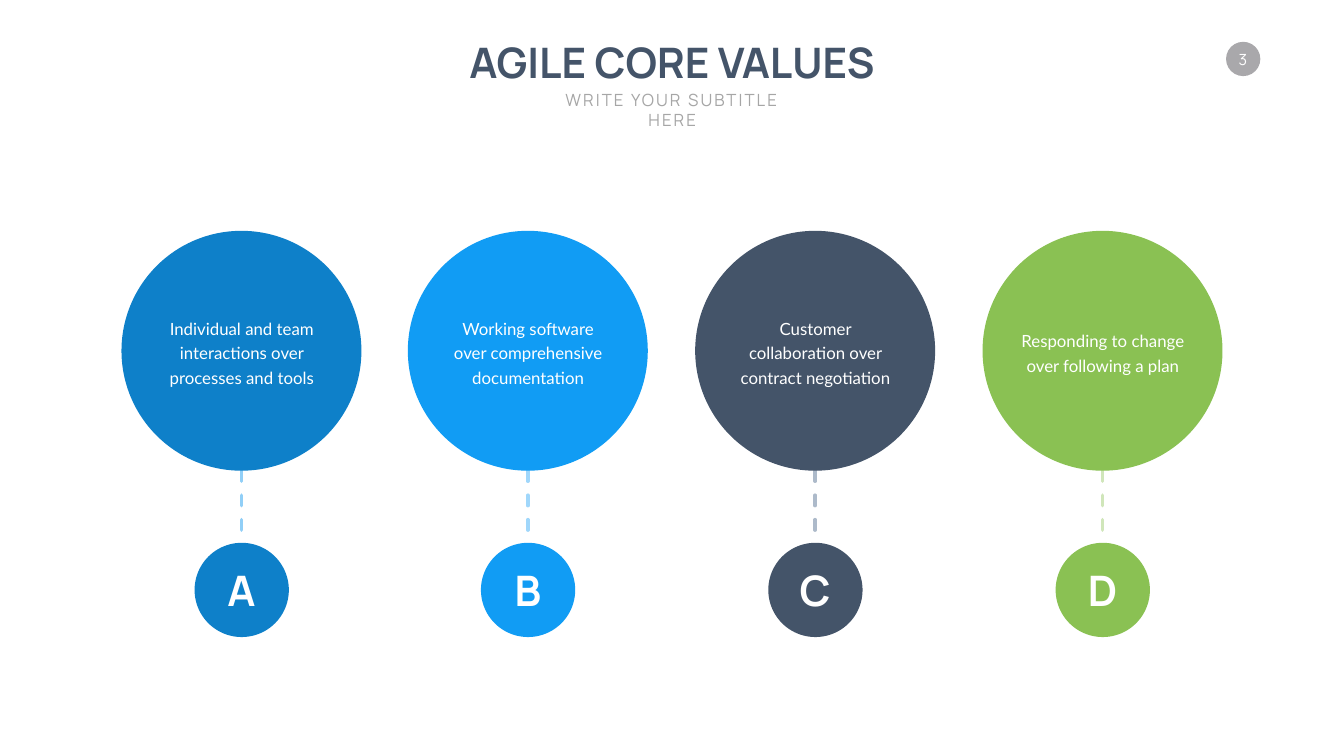
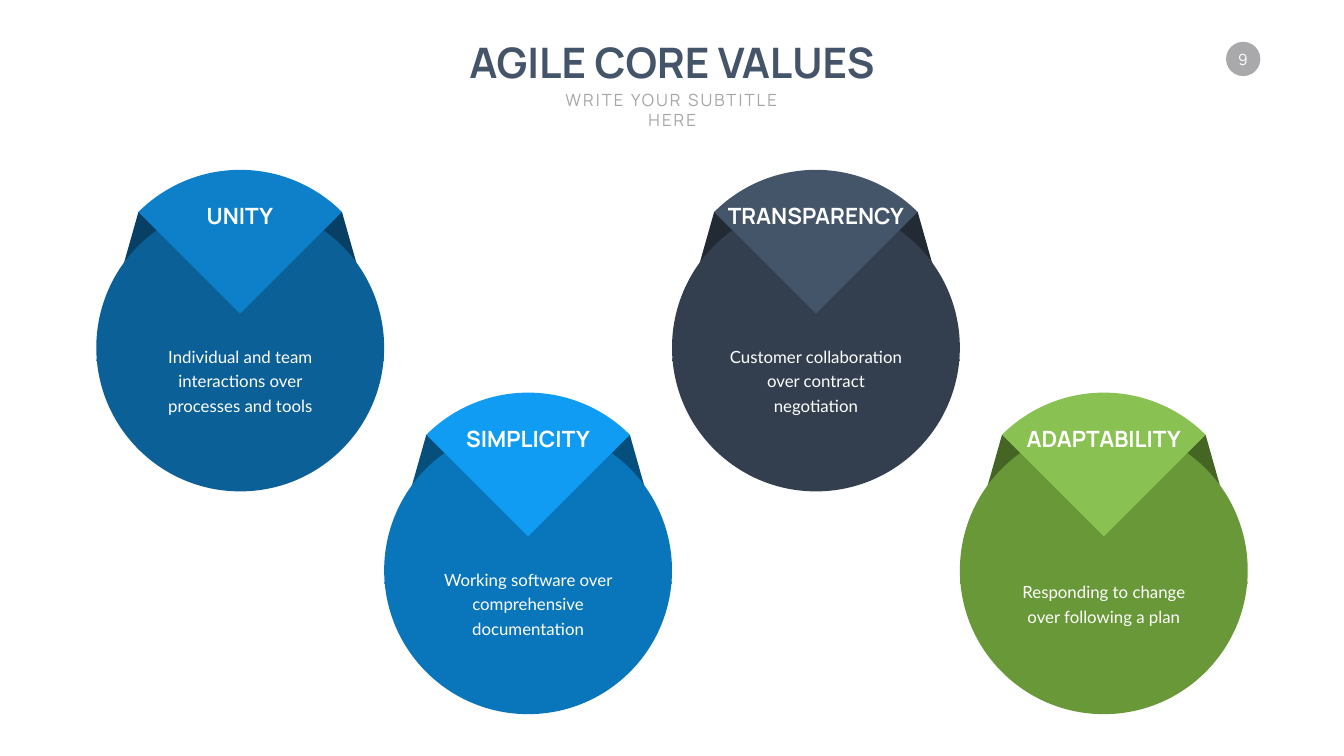
"""Build two slides on the agile core values."""
from math import atan2, cos, degrees, radians, sin, tan

from lxml.etree import SubElement
from pptx import Presentation
from pptx.dml.color import RGBColor
from pptx.enum.dml import MSO_LINE
from pptx.enum.shapes import MSO_CONNECTOR, MSO_SHAPE
from pptx.enum.text import MSO_ANCHOR, MSO_AUTO_SIZE, PP_ALIGN
from pptx.oxml.ns import qn
from pptx.util import Emu, Pt

PX = 9144
WIDE, HIGH = 2666, 1500

HUES = {
    "white": "FFFFFF", "slate": "445469", "grey": "A6A6A6", "badge": "A9A8AB",
    "navy": "0E80C9", "navy line": "91CFF7", "navy dark": "0A6097", "navy fold": "074064",
    "sky": "119CF4", "sky line": "A0D7FB", "sky dark": "0976BB", "sky fold": "064F7D",
    "slate line": "ADBACA", "slate dark": "333F4F", "slate fold": "222A34",
    "green": "8AC153", "green line": "D0E6BA", "green dark": "689837", "green fold": "456525",
}

TITLE = "AGILE CORE VALUES"
SUBTITLE = "WRITE YOUR SUBTITLE HERE"
VALUES = [
    {"hue": "navy", "key": "A", "name": "UNITY", "mid": 479, "span": 156, "tall": 152,
     "text": "Individual and team interactions over processes and tools"},
    {"hue": "sky", "key": "B", "name": "SIMPLICITY", "mid": 1047, "span": 269, "tall": 152,
     "text": "Working software over comprehensive documentation"},
    {"hue": "slate", "key": "C", "name": "TRANSPARENCY", "mid": 1617, "span": 383, "tall": 152,
     "text": "Customer collaboration over contract negotiation"},
    {"hue": "green", "key": "D", "name": "ADAPTABILITY", "mid": 2187, "span": 341, "tall": 103,
     "text": "Responding to change over following a plan"},
]

HEAD = {"name": "Manrope", "size": Pt(60), "bold": True}
SUB = {"name": "Manrope", "size": Pt(24), "bold": False}
PAGE = {"name": "Manrope", "size": Pt(22)}
LABEL = {"name": "Manrope", "size": Pt(32), "bold": True}
BODY = {"name": "Lato", "size": Pt(24)}


def rgb(hue):
    """Return the named colour."""
    return RGBColor.from_string(HUES[hue])


def put(item, values):
    """Set each attribute in values on item."""
    for key, value in values.items():
        setattr(item, key, value)


def place(shape, left, top, width, height):
    """Move and size a shape in px."""
    put(shape, {"left": Emu(left * PX), "top": Emu(top * PX),
                "width": Emu(width * PX), "height": Emu(height * PX)})


def write(shape, text, font, hue="white", wrap=False, anchor=MSO_ANCHOR.MIDDLE, lead=None):
    """Fill a shape with one centred, formatted paragraph."""
    frame = shape.text_frame
    frame.text = text
    put(frame, {"word_wrap": wrap, "vertical_anchor": anchor,
                "auto_size": MSO_AUTO_SIZE.NONE})
    para = frame.paragraphs[0]
    put(para, {"alignment": PP_ALIGN.CENTER, "space_before": Pt(0), "line_spacing": lead})
    run = para.runs[0]
    put(run.font, font)
    run.font.color.rgb = rgb(hue)
    return run


def label(slide, mid, y, width, height, text, font, **more):
    """Add a text box centred on a point."""
    box = slide.shapes.add_textbox(0, 0, 0, 0)
    place(box, mid - width // 2, y - height // 2, width, height)
    write(box, text, font, **more)
    return box


def paint(shape, hue):
    """Give a shape a plain fill."""
    shape.shadow.inherit = False
    shape.fill.solid()
    shape.fill.fore_color.rgb = rgb(hue)
    shape.line.fill.background()


def disc(slide, mid, top, size, hue):
    """Add a filled circle."""
    shape = slide.shapes.add_shape(MSO_SHAPE.OVAL, 0, 0, 0, 0)
    place(shape, mid - size // 2, top, size, size)
    paint(shape, hue)


def dash(slide, x, top, base, hue):
    """Add a dashed upright line with round ends."""
    line = slide.shapes.add_connector(
        MSO_CONNECTOR.STRAIGHT, x * PX, top * PX, x * PX, base * PX)
    put(line.line, {"width": Pt(5), "dash_style": MSO_LINE.DASH})
    line.line.color.rgb = rgb(hue)
    props = line._element.spPr
    props.find(qn("a:ln")).set("cap", "rnd")
    SubElement(props, qn("a:effectLst"))


def arc(x, y, radius, *turns):
    """Return a start point and a curve between each pair of angles."""
    def spot(turn, pull=0):
        c, s = cos(radians(turn)), sin(radians(turn))
        return x + radius * (c - pull * s), y + radius * (s + pull * c)

    steps = [[spot(turns[0])]]
    for a, b in zip(turns, turns[1:]):
        pull = 4 / 3 * tan(radians(b - a) / 4)
        steps.append([spot(a, pull), spot(b, -pull), spot(b)])
    return steps


def outline(slide, left, top, steps, hue):
    """Add a closed outline whose three-point steps are curves."""
    dots = [(round((left + x) * PX), round((top + y) * PX)) for step in steps for x, y in step]
    pen = slide.shapes.build_freeform(*dots[0])
    pen.add_line_segments(dots[1:], close=True)
    shape = pen.convert_to_shape()
    trail = next(shape._element.iter(qn("a:pathLst")))[0]
    parts = iter(list(trail))
    for step in steps:
        first = next(parts)
        if len(step) == 3:
            first.tag = qn("a:cubicBezTo")
            for _ in range(2):
                extra = next(parts)
                first.append(extra[0])
                trail.remove(extra)
    paint(shape, hue)


def start(deck, page):
    """Add a slide with its title, subtitle and page badge."""
    slide = deck.slides.add_slide(deck.slide_layouts[0])
    disc(slide, 2466, 83, 68, "badge")
    box = label(slide, 2465, 117, 45, 37, page, PAGE)
    put(box.text_frame, dict.fromkeys(
        ("margin_left", "margin_right", "margin_top", "margin_bottom"), 0))
    title, sub = slide.placeholders
    place(title, 911, 67, 844, 111)
    write(title, TITLE, HEAD, hue="slate", anchor=MSO_ANCHOR.TOP)
    place(sub, 1062, 172, 543, 50)
    run = write(sub, SUBTITLE, SUB, hue="grey", wrap=True, anchor=MSO_ANCHOR.TOP)
    run.font._element.set("spc", "300")
    return slide


def pins(deck):
    """Draw each value as a circle joined to its letter."""
    slide = start(deck, "3")
    top, big, low, small = 458, 476, 1077, 187
    for value in VALUES:
        mid, hue = value["mid"], value["hue"]
        dash(slide, mid, top + big, low, hue + " line")
        disc(slide, mid, top, big, hue)
        disc(slide, mid, low, small, hue)
        label(slide, mid, top + big // 2, 351, value["tall"], value["text"], BODY,
              wrap=True, lead=Pt(35))
        label(slide, mid, low + small // 2, 82, 111, value["key"], HEAD)


def cards(deck):
    """Draw each value as a disc with a folded flap."""
    slide = start(deck, "9")
    size, drop = 571, 67
    rad = size / 2
    tip = [(rad, rad)]
    edge = rad * (1 - sin(radians(45)))
    notch = 120
    tilt = degrees(atan2(rad + drop - notch, rad - notch))
    fold = [[(edge, edge)], [(0, 379)], [(size, 379)], [(size - edge, edge)]]
    body = arc(rad, rad + drop, rad, -tilt, 0, 90, 180, 180 + tilt) + [tip]
    flap = arc(rad, rad, rad, 225, 270, 315) + [tip]
    for i, value in enumerate(VALUES):
        left, top, hue = 191 + i * size, 337 + i % 2 * 442, value["hue"]
        outline(slide, left, top, fold, hue + " fold")
        outline(slide, left, top, body, hue + " dark")
        outline(slide, left, top, flap, hue)
        mid = left + size // 2
        label(slide, mid, top + 415, 383, value["tall"], value["text"], BODY,
              wrap=True, lead=Pt(35))
        label(slide, mid, top + 91, value["span"], 64, value["name"], LABEL)


def main():
    """Build and save the deck."""
    deck = Presentation()
    put(deck, {"slide_width": Emu(WIDE * PX), "slide_height": Emu(HIGH * PX)})
    pins(deck)
    cards(deck)
    deck.save("out.pptx")


if __name__ == "__main__":
    main()
